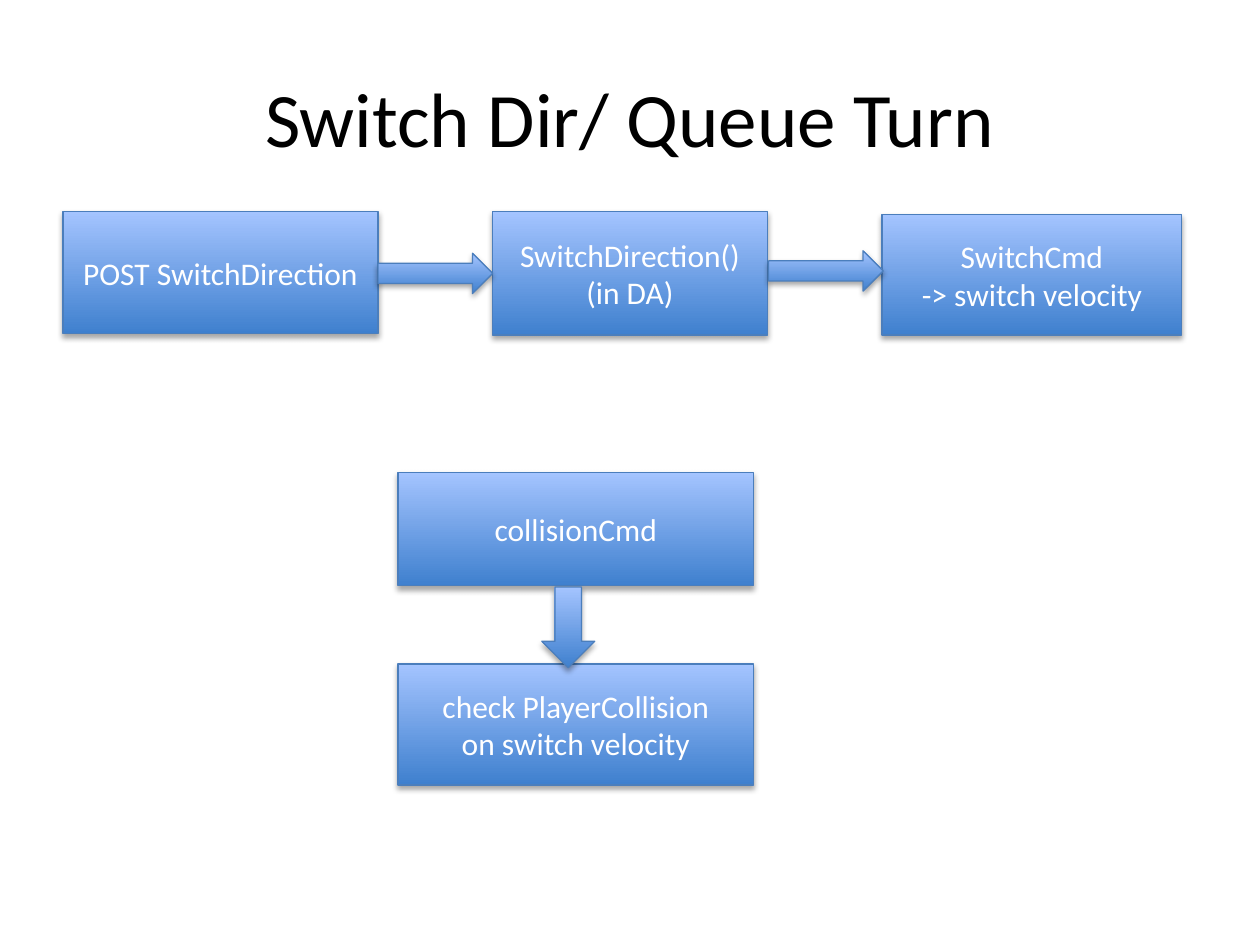
from lxml import etree
from pptx import Presentation
from pptx.dml.color import RGBColor
from pptx.enum.shapes import MSO_SHAPE
from pptx.enum.text import MSO_ANCHOR, PP_ALIGN
from pptx.oxml import parse_xml
from pptx.oxml.ns import nsdecls
from pptx.util import Inches, Pt

BLACK = RGBColor(0x00, 0x00, 0x00)
WHITE = RGBColor(0xFF, 0xFF, 0xFF)
DEEP_BLUE = RGBColor(0x3F, 0x80, 0xCE)
PALE_BLUE = RGBColor(0xA4, 0xC4, 0xFF)
EDGE_BLUE = RGBColor(0x4B, 0x7E, 0xBC)
FONT = "Calibri"

SHADOW = (
    f'<a:outerShdw {nsdecls("a")} blurRad="40000" dist="23000" dir="5400000" '
    'rotWithShape="0"><a:srgbClr val="000000"><a:alpha val="35000"/>'
    "</a:srgbClr></a:outerShdw>"
)


def format_paragraph(paragraph, size, color):
    paragraph.alignment = PP_ALIGN.CENTER
    paragraph.font.name = FONT
    paragraph.font.size = Pt(size)
    paragraph.font.color.rgb = color


def add_block(slide, kind, left, top, width, height):
    """Add a glossy blue preset shape with a soft shadow below it."""
    block = slide.shapes.add_shape(
        kind, Inches(left), Inches(top), Inches(width), Inches(height))
    block.fill.gradient()
    block.fill.gradient_angle = 90
    for stop, color in zip(block.fill.gradient_stops, (DEEP_BLUE, PALE_BLUE)):
        stop.color.rgb = color
    block.line.color.rgb = EDGE_BLUE
    block.line.width = Pt(0.75)
    block.shadow.inherit = False
    effects = block._element.spPr.find(
        etree.QName("http://schemas.openxmlformats.org/drawingml/2006/main",
                    "effectLst").text)
    effects.append(parse_xml(SHADOW))
    return block


def add_step(slide, text, left, top, width, height):
    step = add_block(slide, MSO_SHAPE.RECTANGLE, left, top, width, height)
    frame = step.text_frame
    frame.word_wrap = True
    frame.vertical_anchor = MSO_ANCHOR.MIDDLE
    frame.text = text
    for paragraph in frame.paragraphs:
        format_paragraph(paragraph, 18, WHITE)


def add_title(slide, text, left, top, width, height):
    title = slide.shapes.title
    title.left, title.top = Inches(left), Inches(top)
    title.width, title.height = Inches(width), Inches(height)
    title.text_frame.text = text
    title.text_frame.vertical_anchor = MSO_ANCHOR.MIDDLE
    format_paragraph(title.text_frame.paragraphs[0], 44, BLACK)


def add_switch_flow(slide, left, top):
    """Three steps from left to right, joined by arrows."""
    steps = [
        ("POST SwitchDirection", 0, 0, 2.5, 0.97),
        ("SwitchDirection() (in DA)", 3.41, 0, 2.18, 0.98),
        ("SwitchCmd\n-> switch velocity", 6.5, 0.02, 2.38, 0.96),
    ]
    for text, dx, dy, width, height in steps:
        add_step(slide, text, left + dx, top + dy, width, height)
    for dx, dy in ((2.5, 0.33), (5.6, 0.31)):
        add_block(slide, MSO_SHAPE.RIGHT_ARROW, left + dx, top + dy, 0.91, 0.32)


def add_collision_flow(slide, left, top, width):
    """Two steps from top to bottom, joined by an arrow."""
    add_step(slide, "collisionCmd", left, top, width, 0.9)
    add_step(slide, "check PlayerCollision\non switch velocity",
             left, top + 1.52, width, 0.96)
    add_block(slide, MSO_SHAPE.DOWN_ARROW, left + 1.14, top + 0.91, 0.42, 0.64)


presentation = Presentation()
presentation.slide_width = Inches(10)
presentation.slide_height = Inches(7.5)
slide = presentation.slides.add_slide(presentation.slide_layouts[5])

add_title(slide, "Switch Dir/ Queue Turn", 0.5, 0.3, 9, 1.25)
add_switch_flow(slide, 0.5, 1.68)
add_collision_flow(slide, 3.16, 3.75, 2.82)

presentation.save("out.pptx")
